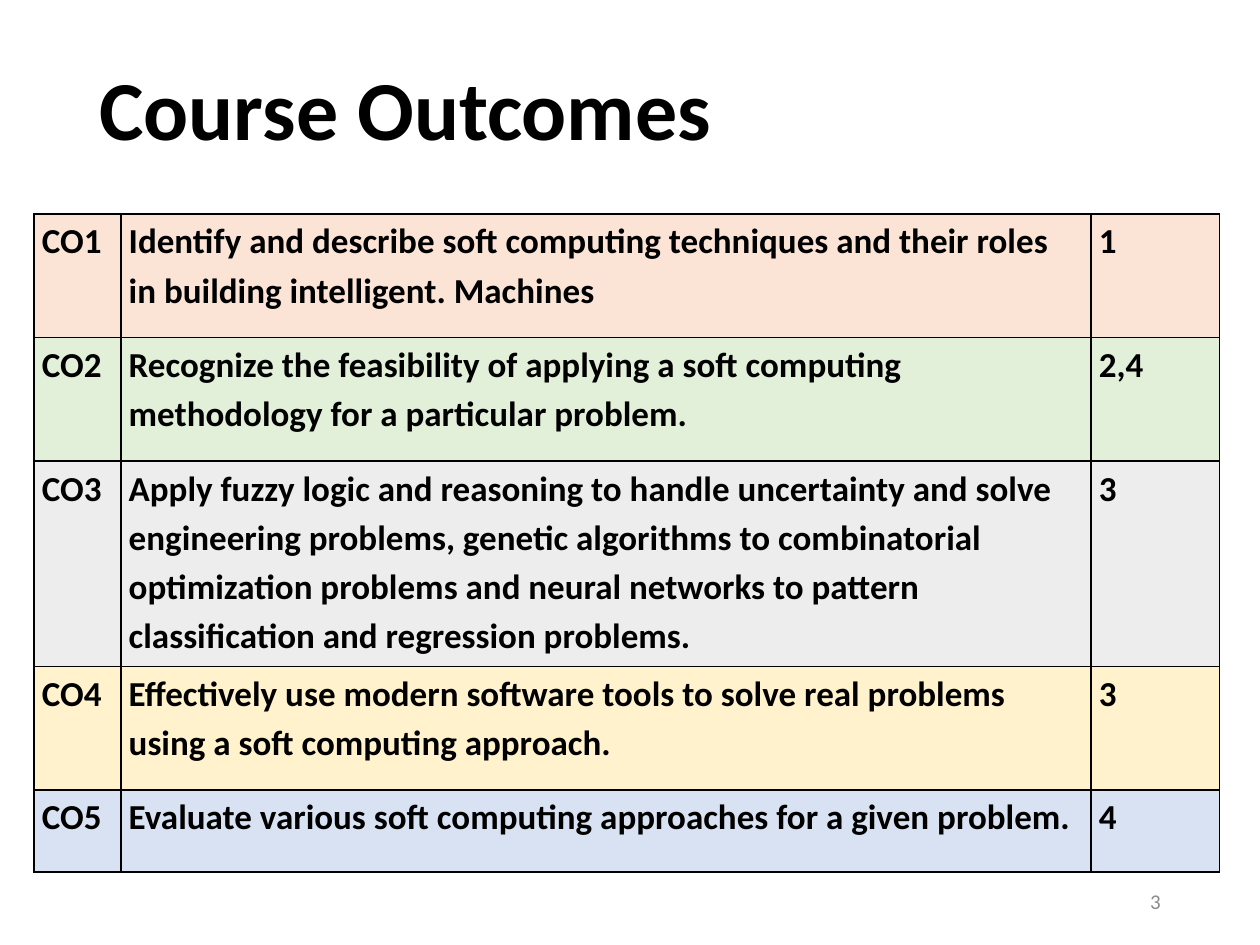
from lxml import etree
from pptx import Presentation
from pptx.dml.color import RGBColor
from pptx.enum.text import MSO_ANCHOR, PP_ALIGN
from pptx.oxml.ns import qn
from pptx.util import Pt

BOTTOM, MIDDLE, TOP = MSO_ANCHOR.BOTTOM, MSO_ANCHOR.MIDDLE, MSO_ANCHOR.TOP
LEFT, RIGHT = PP_ALIGN.LEFT, PP_ALIGN.RIGHT
FONT = "Calibri"
COLORS = {
    "ink": "000000", "number": "8C8C8C", "peach": "FBE4D5", "green": "E2EFD9",
    "gray": "EDEDED", "yellow": "FFF2CC", "blue": "D9E2F3",
}
COLUMN_WIDTHS = (49.7, 554.4, 73.4)
OUTCOMES = [
    ("CO1", "Identify and describe soft computing techniques and their roles in "
     "building intelligent. Machines", "1", "peach", 70.6),
    ("CO2", "Recognize the feasibility of applying a soft computing methodology "
     "for a particular problem.", "2,4", "green", 70.6),
    ("CO3", "Apply fuzzy logic and reasoning to handle uncertainty and solve "
     "engineering problems, genetic algorithms to combinatorial optimization "
     "problems and neural networks to pattern classification and regression "
     "problems.", "3", "gray", 117.4),
    ("CO4", "Effectively use modern software tools to solve real problems using "
     "a soft computing approach.", "3", "yellow", 70.6),
    ("CO5", "Evaluate various soft computing approaches for a given problem.",
     "4", "blue", 46.8),
]


def style_runs(paragraph, size, color, bold=False):
    """Apply the slide font to every run of a paragraph."""
    for run in paragraph.runs:
        run.font.name = FONT
        run.font.size = Pt(size)
        run.font.bold = bold
        run.font.color.rgb = RGBColor.from_string(COLORS[color])


def add_label(slide, box, text, size, color, anchor, align=LEFT, bold=False, spacing=1.0):
    """Place one line of text in a box."""
    frame = slide.shapes.add_textbox(*map(Pt, box)).text_frame
    frame.word_wrap = True
    frame.vertical_anchor = anchor
    frame.text = text
    line = frame.paragraphs[0]
    line.alignment = align
    line.line_spacing = spacing
    style_runs(line, size, color, bold)


def add_borders(cell):
    """Draw a one point line on all four sides of a cell."""
    properties = cell._tc.get_or_add_tcPr()
    for index, side in enumerate(("lnL", "lnR", "lnT", "lnB")):
        border = etree.Element(qn(f"a:{side}"), w=str(Pt(1)))
        fill = etree.SubElement(border, qn("a:solidFill"))
        etree.SubElement(fill, qn("a:srgbClr"), val=COLORS["ink"])
        properties.insert(index, border)


def fill_cell(cell, text, color, space_after):
    """Write, colour and outline one table cell."""
    cell.margin_left = cell.margin_right = Pt(4.5)
    cell.margin_top = cell.margin_bottom = Pt(0)
    cell.vertical_anchor = TOP
    cell.fill.solid()
    cell.fill.fore_color.rgb = RGBColor.from_string(COLORS[color])
    cell.text_frame.text = text
    content = cell.text_frame.paragraphs[0]
    content.line_spacing = 1.15
    content.space_after = Pt(space_after)
    style_runs(content, 20, "ink", bold=True)
    add_borders(cell)


def add_outcomes(slide, left, top):
    """Build the table of course outcomes from its top left corner."""
    width = sum(COLUMN_WIDTHS)
    height = sum(outcome[-1] for outcome in OUTCOMES)
    table = slide.shapes.add_table(
        len(OUTCOMES), len(COLUMN_WIDTHS), Pt(left), Pt(top), Pt(width), Pt(height)
    ).table
    table.first_row = table.horz_banding = False
    for column, column_width in zip(table.columns, COLUMN_WIDTHS):
        column.width = Pt(column_width)
    for row, (code, description, level, color, row_height) in zip(table.rows, OUTCOMES):
        row.height = Pt(row_height)
        description_gap = 10 if code == "CO5" else 0
        texts = ((code, 10), (description, description_gap), (level, 10))
        for cell, (text, gap) in zip(row.cells, texts):
            fill_cell(cell, text, color, gap)


def main():
    """Build and save the course outcomes slide."""
    deck = Presentation()
    deck.slide_width, deck.slide_height = Pt(720), Pt(540)
    slide = deck.slides.add_slide(deck.slide_layouts[6])
    add_label(slide, (49.7, 36, 398.2, 58.3), "Course Outcomes", 48, "ink",
              BOTTOM, bold=True, spacing=0.9)
    add_label(slide, (508.3, 500.4, 162, 28.8), "3", 12, "number", MIDDLE, RIGHT)
    add_outcomes(slide, 19.4, 122.4)
    deck.save("out.pptx")


if __name__ == "__main__":
    main()
